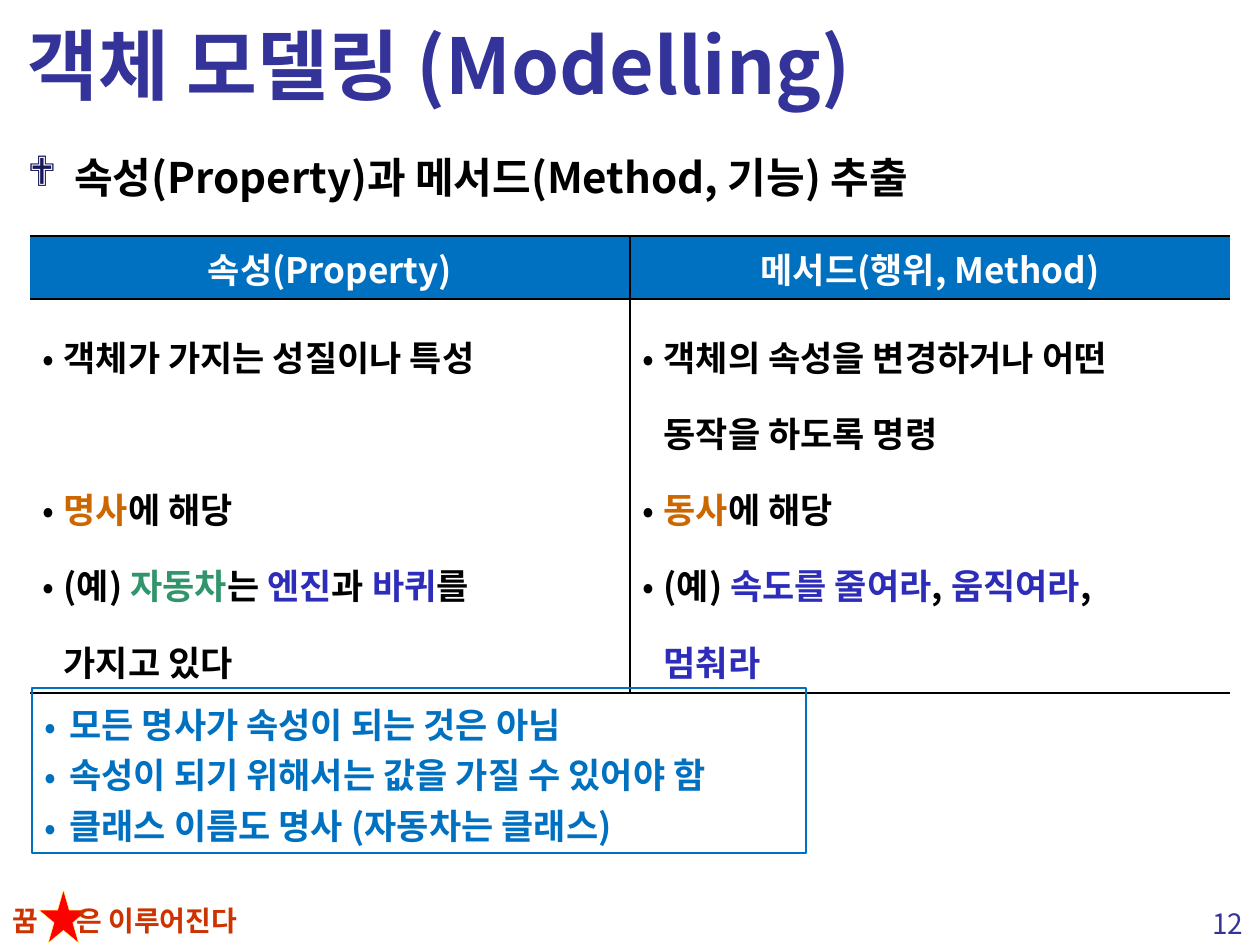
from lxml.etree import SubElement
from pptx import Presentation
from pptx.dml.color import RGBColor
from pptx.enum.shapes import MSO_SHAPE
from pptx.enum.text import MSO_ANCHOR, PP_ALIGN
from pptx.oxml import parse_xml
from pptx.oxml.ns import nsdecls, qn
from pptx.util import Inches, Pt

PX = 7257
FONT = "Noto Sans CJK KR"
NAVY = RGBColor(0x33, 0x33, 0x99)
INK = RGBColor(0x17, 0x17, 0x5C)
BLACK = RGBColor(0, 0, 0)
WHITE = RGBColor(0xFF, 0xFF, 0xFF)
BLUE = RGBColor(0x00, 0x70, 0xC0)
VIOLET = RGBColor(0x2D, 0x2D, 0xB9)
GREEN = RGBColor(0x32, 0x94, 0x6A)
ORANGE = RGBColor(0xCC, 0x66, 0x00)
BRICK = RGBColor(0xCC, 0x33, 0x00)
RED = RGBColor(0xFF, 0, 0)
YELLOW = RGBColor(0xFF, 0xFF, 0x66)


def add_run(p, text, size, color, bold=True):
    r = p.add_run()
    r.text = text
    for name, value in {"name": FONT, "size": Pt(size), "bold": bold}.items():
        setattr(r.font, name, value)
    r.font.color.rgb = color
    SubElement(r.font._element, qn("a:ea")).set("typeface", FONT)


def set_indent(p, left, char=None, color=BLACK, font=FONT):
    pPr = p._p.get_or_add_pPr()
    pPr.set("marL", str(left * PX))
    pPr.set("indent", str(-left * PX if char else 0))
    if char:
        clr = SubElement(pPr, qn("a:buClr"))
        SubElement(clr, qn("a:srgbClr")).set("val", str(color))
        SubElement(pPr, qn("a:buFont")).set("typeface", font)
        SubElement(pPr, qn("a:buChar")).set("char", char)


prs = Presentation()
prs.slide_width, prs.slide_height = Inches(10), Inches(7.5)
s = prs.slides.add_slide(prs.slide_layouts[6])

star = s.shapes.add_shape(MSO_SHAPE.STAR_5_POINT, 39 * PX, 890 * PX, 49 * PX, 53 * PX)
star.shadow.inherit = False
star.fill.solid()
star.fill.fore_color.rgb = RED
star.line.color.rgb = YELLOW
star.line.width = Pt(0.25)

texts = {
    "footer": ((0, 897, 312, 47), "꿈\t은 이루어진다", 16, BRICK, True),
    "number": ((1196, 900, 64, 47), "12", 16, NAVY, False),
    "title": ((15, 8, 1230, 111), "객체 모델링 (Modelling)", 44, NAVY, True),
    "heading": ((15, 135, 1234, 761), "속성(Property)과 메서드(Method, 기능) 추출", 24, BLACK, True),
}
boxes = {}
for name, (place, text, size, color, bold) in texts.items():
    sp = s.shapes.add_textbox(*(v * PX for v in place))
    sp.text_frame.word_wrap = True
    add_run(sp.text_frame.paragraphs[0], text, size, color, bold)
    boxes[name] = sp.text_frame

tabs = SubElement(boxes["footer"].paragraphs[0]._p.get_or_add_pPr(), qn("a:tabLst"))
tab = SubElement(tabs, qn("a:tab"))
tab.set("pos", str(64 * PX))
tab.set("algn", "l")
boxes["number"].word_wrap = False
boxes["number"].paragraphs[0].alignment = PP_ALIGN.CENTER
boxes["title"].vertical_anchor = MSO_ANCHOR.MIDDLE
p = boxes["heading"].paragraphs[0]
p.line_spacing = 1.2
p.space_before = Pt(5)
set_indent(p, 47, "❖", INK, "Wingdings")

frame = s.shapes.add_table(2, 2, 30 * PX, 236 * PX, 1200 * PX, 457 * PX)
table = frame.table
table.first_row = table.horz_banding = False
table._tbl.tblPr.find(qn("a:tableStyleId")).text = "{2D5ABB26-0587-4C30-8999-92F81FD0307C}"
table.rows[0].height, table.rows[1].height = 63 * PX, 394 * PX

headers = ["속성(Property)", "메서드(행위, Method)"]
columns = [
    [
        ("•", [("객체가 가지는 성질이나 특성", BLACK)]),
        ("•", [("명사", ORANGE), ("에 해당", BLACK)]),
        ("•", [("(예) ", BLACK), ("자동차", GREEN), ("는 ", BLACK), ("엔진", VIOLET),
               ("과 ", BLACK), ("바퀴", VIOLET), ("를", BLACK)]),
        (None, [("가지고 있다", BLACK)]),
    ],
    [
        ("•", [("객체의 속성을 변경하거나 어떤", BLACK)]),
        (None, [("동작을 하도록 명령", BLACK)]),
        ("•", [("동사", ORANGE), ("에 해당", BLACK)]),
        ("•", [("(예) ", BLACK), ("속도를 줄여라", VIOLET), (", ", BLACK),
               ("움직여라", VIOLET), (",", BLACK)]),
        (None, [("멈춰라", VIOLET)]),
    ],
]
for col, (header, lines) in enumerate(zip(headers, columns)):
    head, body = table.cell(0, col), table.cell(1, col)
    head.fill.solid()
    head.fill.fore_color.rgb = BLUE
    body.fill.background()
    p = head.text_frame.paragraphs[0]
    p.alignment = PP_ALIGN.CENTER
    add_run(p, header, 20, WHITE)
    tf = body.text_frame
    for i, (char, runs) in enumerate(lines):
        p = tf.add_paragraph() if i else tf.paragraphs[0]
        p.line_spacing = 1.5
        if col == 0 and i == 0:
            p.space_after = Pt(43.5)
        set_indent(p, 21, char)
        for text, color in runs:
            add_run(p, text, 20, color)
    for cell in (head, body):
        tcPr = cell._tc.get_or_add_tcPr()
        for i, side in enumerate(["lnL" if col else "lnR", "lnT", "lnB"]):
            tcPr.insert(i, parse_xml(
                f'<a:{side} {nsdecls("a")} w="12700"><a:solidFill>'
                f'<a:srgbClr val="{BLACK}"/></a:solidFill></a:{side}>'))

notes = s.shapes.add_shape(MSO_SHAPE.RECTANGLE, 32 * PX, 688 * PX, 774 * PX, 165 * PX)
notes.shadow.inherit = False
notes.fill.background()
notes.line.color.rgb = BLUE
notes.line.width = Pt(0.75)
tf = notes.text_frame
tf.word_wrap = True
for i, text in enumerate([
    "모든 명사가 속성이 되는 것은 아님",
    "속성이 되기 위해서는 값을 가질 수 있어야 함",
    "클래스 이름도 명사 (자동차는 클래스)",
]):
    p = tf.add_paragraph() if i else tf.paragraphs[0]
    p.alignment = PP_ALIGN.LEFT
    p.line_spacing = 1.2
    set_indent(p, 25, "•", BLUE)
    add_run(p, text, 20, BLUE)

prs.save("out.pptx")
